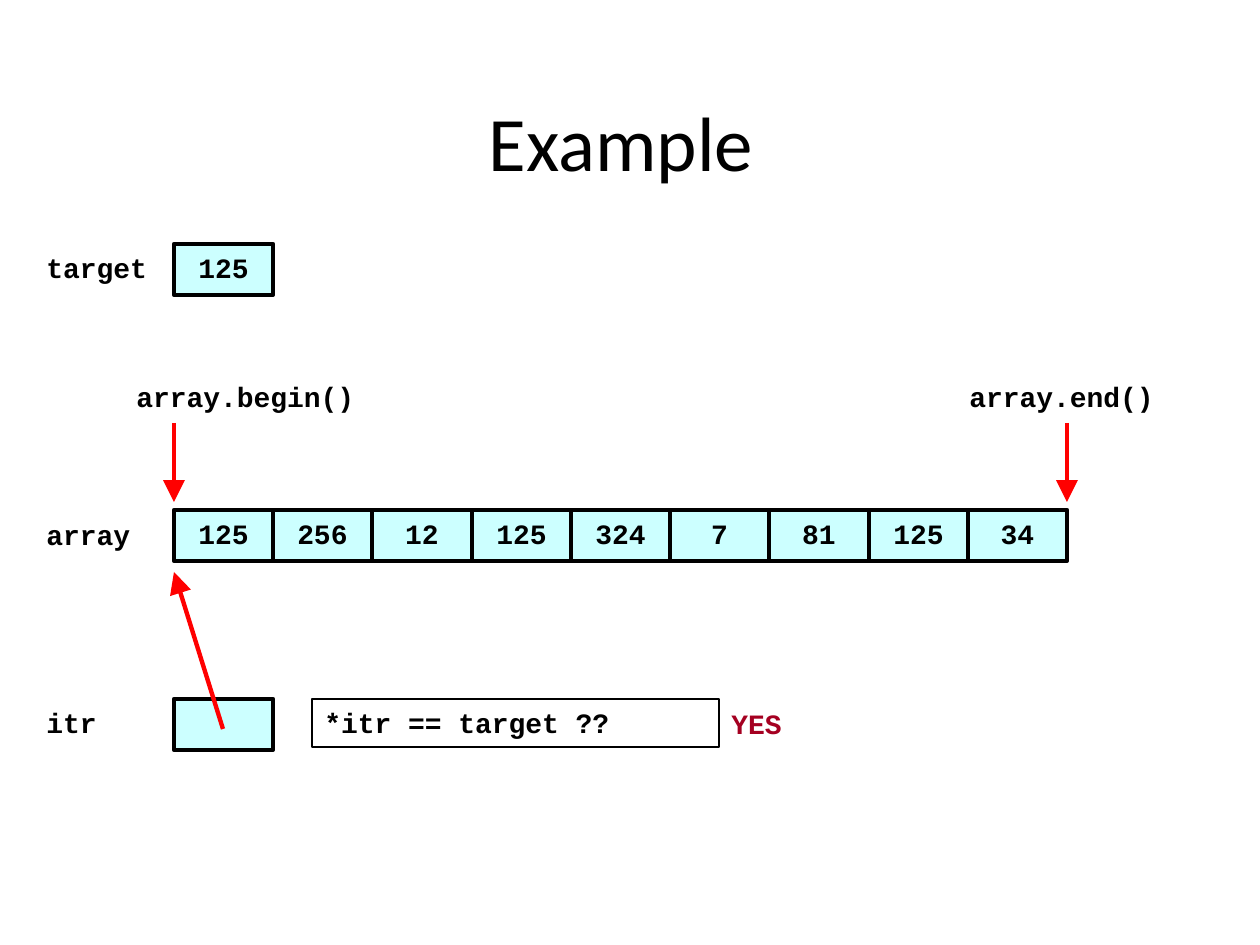
import dataclasses

import pptx
import pptx.dml.color
import pptx.enum.shapes
import pptx.enum.text
import pptx.oxml
import pptx.oxml.ns
import pptx.util

EMU_PER_PX = 914400 / 126
ALIGN = pptx.enum.text.PP_ALIGN


def px(length):
    return pptx.util.Emu(round(length * EMU_PER_PX))


def rgb(code):
    return pptx.dml.color.RGBColor.from_string(code)


@dataclasses.dataclass(frozen=True)
class Theme:
    ink: str = "000000"
    cell: str = "CCFFFF"
    arrow: str = "FF0000"
    answer: str = "A50021"
    title_font: str = "Calibri"
    code_font: str = "Courier New"
    title_size: int = 44
    code_size: int = 16
    space_before: float = 3.5
    heavy: float = 2.5
    thin: float = 0.75


class Painter:
    def __init__(self, page, theme):
        self.page = page
        self.theme = theme

    def title(self, text, left, top, width, height):
        box = self.page.shapes.title
        box.left, box.top, box.width, box.height = map(px, (left, top, width, height))
        frame = box.text_frame
        frame.text = text
        frame.auto_size = pptx.enum.text.MSO_AUTO_SIZE.NONE
        frame.vertical_anchor = pptx.enum.text.MSO_ANCHOR.TOP
        frame.margin_top = px(9)
        para = frame.paragraphs[0]
        para.alignment = ALIGN.CENTER
        font = para.runs[0].font
        font.name, font.size = self.theme.title_font, pptx.util.Pt(self.theme.title_size)
        font.color.rgb = rgb(self.theme.ink)

    def code(self, box, text, align=ALIGN.LEFT, color=None):
        """Put one line of bold code text into a box."""
        frame = box.text_frame
        frame.word_wrap = True
        frame.vertical_anchor = pptx.enum.text.MSO_ANCHOR.TOP
        frame.text = text
        para = frame.paragraphs[0]
        para.alignment = align
        para.space_before = pptx.util.Pt(self.theme.space_before)
        for span in para.runs:
            span.font.name = self.theme.code_font
            span.font.size = pptx.util.Pt(self.theme.code_size)
            span.font.bold = True
            span.font.color.rgb = rgb(color or self.theme.ink)

    def label(self, text, left, top, width, color=None):
        box = self.page.shapes.add_textbox(px(left), px(top), px(width), px(47))
        self.code(box, text, color=color)

    def box(self, left, top, width, height, line_width, fill=None):
        box = self.page.shapes.add_shape(
            pptx.enum.shapes.MSO_SHAPE.RECTANGLE, px(left), px(top), px(width), px(height))
        box.shadow.inherit = False
        if fill:
            box.fill.solid()
            box.fill.fore_color.rgb = rgb(fill)
        else:
            box.fill.background()
        box.line.color.rgb = rgb(self.theme.ink)
        box.line.width = pptx.util.Pt(line_width)
        return box

    def cell(self, text, left, top, width):
        box = self.box(left, top, width, 51, self.theme.heavy, self.theme.cell)
        if text:
            self.code(box, text, ALIGN.CENTER)

    def framed_code(self, text, left, top, width, height):
        self.code(self.box(left, top, width, height, self.theme.thin), text)

    def arrow(self, x1, y1, x2, y2):
        line = self.page.shapes.add_connector(
            pptx.enum.shapes.MSO_CONNECTOR.STRAIGHT, px(x1), px(y1), px(x2), px(y2))
        line.line.color.rgb = rgb(self.theme.arrow)
        line.line.width = pptx.util.Pt(self.theme.heavy)
        namespace = pptx.oxml.ns.nsdecls("a")
        line.line._get_or_add_ln().append(pptx.oxml.parse_xml(
            f'<a:tailEnd {namespace} type="triangle" w="lg" len="lg"/>'))
        line._element.spPr.append(pptx.oxml.parse_xml(f"<a:effectLst {namespace}/>"))


def main():
    deck = pptx.Presentation()
    deck.slide_width, deck.slide_height = px(1260), px(945)
    page = deck.slides.add_slide(deck.slide_layouts[5])
    painter = Painter(page, Theme())

    painter.title("Example", 54, 86, 1134, 157)

    values = ["125", "256", "12", "125", "324", "7", "81", "125", "34"]
    array_left, array_right, array_top = 174, 1067, 510
    edges = [array_left + round(i * (array_right - array_left) / len(values))
             for i in range(len(values) + 1)]
    cell_width = edges[1] - edges[0]
    for value, left, right in zip(values, edges, edges[1:]):
        painter.cell(value, left, array_top, right - left)

    target_top, itr_top = 244, 699
    painter.cell("125", array_left, target_top, cell_width)
    painter.cell("", array_left, itr_top, cell_width)
    for name, top in (("target", target_top), ("array", array_top + 1), ("itr", itr_top)):
        painter.label(name, 34, top, 134)

    painter.framed_code("*itr == target ??", 312, itr_top, 407, 48)
    painter.label("YES", 719, itr_top + 1, 129, painter.theme.answer)

    painter.label("array.begin()", 124, 373, 297)
    painter.label("array.end()", 957, 373, 218)
    for x in (array_left, array_right):
        painter.arrow(x, 423, x, 502)
    painter.arrow(array_left + cell_width // 2, 729, array_left, 572)

    deck.save("out.pptx")


if __name__ == "__main__":
    main()
